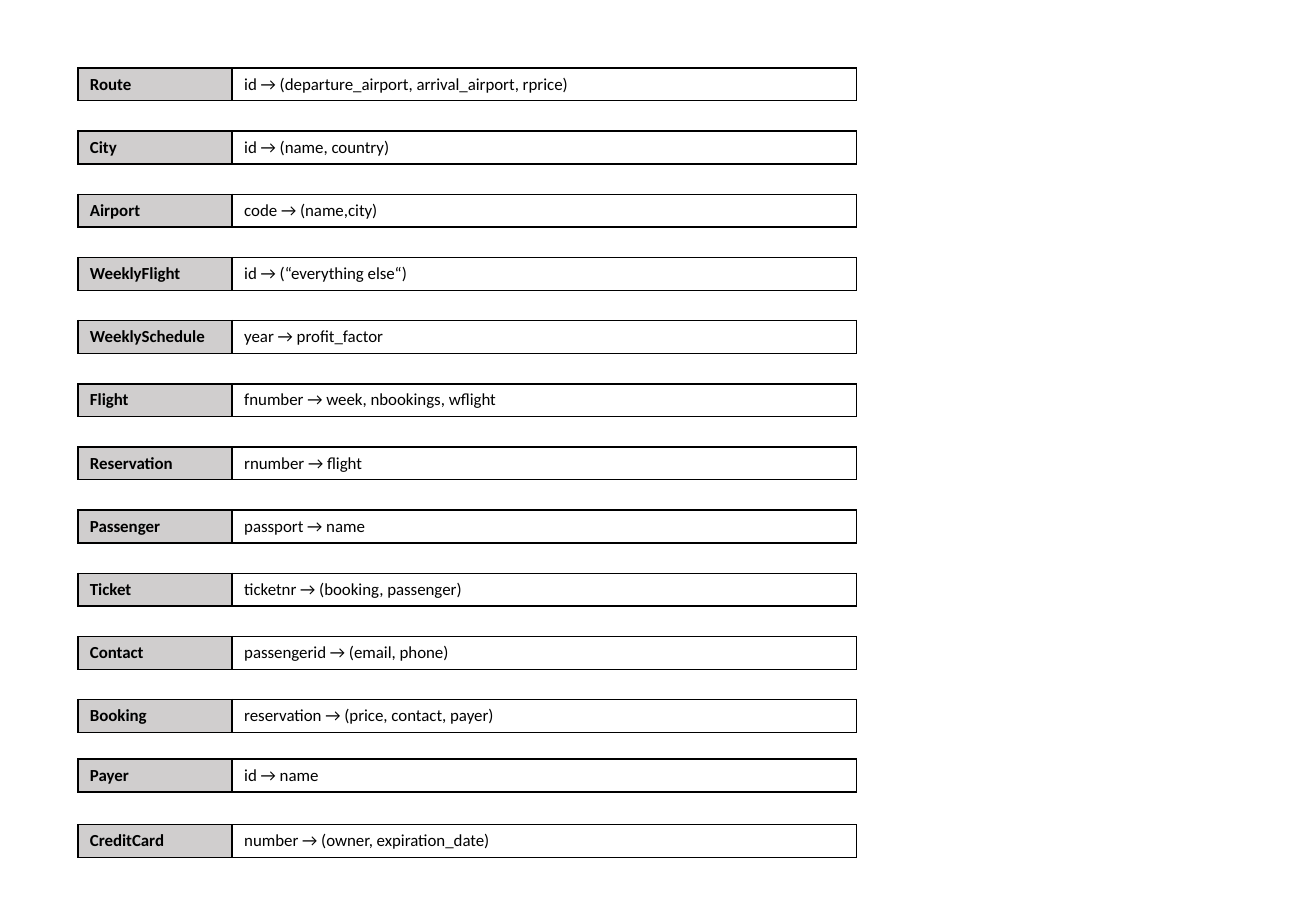
from dataclasses import dataclass

from lxml import etree
from pptx import Presentation
from pptx.dml.color import RGBColor
from pptx.oxml.ns import qn
from pptx.util import Emu, Inches, Pt

FONT = "Calibri"
HUES = {"ink": "000000", "name": "D0CECE"}
SIDES = ("a:lnL", "a:lnR", "a:lnT", "a:lnB")
LEFT, TOP = Inches(0.64), Inches(0.56)
PITCH, HIGH = Inches(0.52), Inches(0.27)
COLS = (Inches(1.27), Inches(5.14))


@dataclass(frozen=True)
class Entry:
    name: str
    rule: str
    shift: float = 0


ENTRIES = (
    Entry("Route", "id → (departure_airport, arrival_airport, rprice)"),
    Entry("City", "id → (name, country)"),
    Entry("Airport", "code → (name,city)"),
    Entry("WeeklyFlight", "id → (“everything else“)"),
    Entry("WeeklySchedule", "year → profit_factor"),
    Entry("Flight", "fnumber → week, nbookings, wflight"),
    Entry("Reservation", "rnumber → flight"),
    Entry("Passenger", "passport → name"),
    Entry("Ticket", "ticketnr → (booking, passenger)"),
    Entry("Contact", "passengerid → (email, phone)"),
    Entry("Booking", "reservation → (price, contact, payer)"),
    Entry("Payer", "id → name", -0.03),
    Entry("CreditCard", "number → (owner, expiration_date)", -0.01),
)


def add_edge(cell) -> None:
    props = cell._tc.get_or_add_tcPr()
    for side in SIDES:
        line = etree.SubElement(props, qn(side), w=str(Pt(1)))
        fill = etree.SubElement(line, qn("a:solidFill"))
        etree.SubElement(fill, qn("a:srgbClr"), val=HUES["ink"])


def add_text(cell, text: str, bold: bool) -> None:
    run = cell.text_frame.paragraphs[0].add_run()
    run.text = text
    run.font.name = FONT
    run.font.size = Pt(10)
    run.font.bold = bold
    run.font.color.rgb = RGBColor.from_string(HUES["ink"])


def add_entry(slide, row: int, entry: Entry) -> None:
    top = Emu(TOP + row * PITCH + Inches(entry.shift))
    table = slide.shapes.add_table(1, 2, LEFT, top, Emu(sum(COLS)), HIGH).table
    table.first_row = False
    table.horz_banding = False
    for col, width in zip(table.columns, COLS):
        col.width = width
    name, rule = table.cell(0, 0), table.cell(0, 1)
    for cell in (name, rule):
        add_edge(cell)
    name.fill.solid()
    name.fill.fore_color.rgb = RGBColor.from_string(HUES["name"])
    rule.fill.background()
    add_text(name, entry.name, True)
    add_text(rule, entry.rule, False)


deck = Presentation()
deck.slide_width, deck.slide_height = Inches(10.83), Inches(7.5)
slide = deck.slides.add_slide(deck.slide_layouts[6])
for row, entry in enumerate(ENTRIES):
    add_entry(slide, row, entry)
deck.save("out.pptx")
